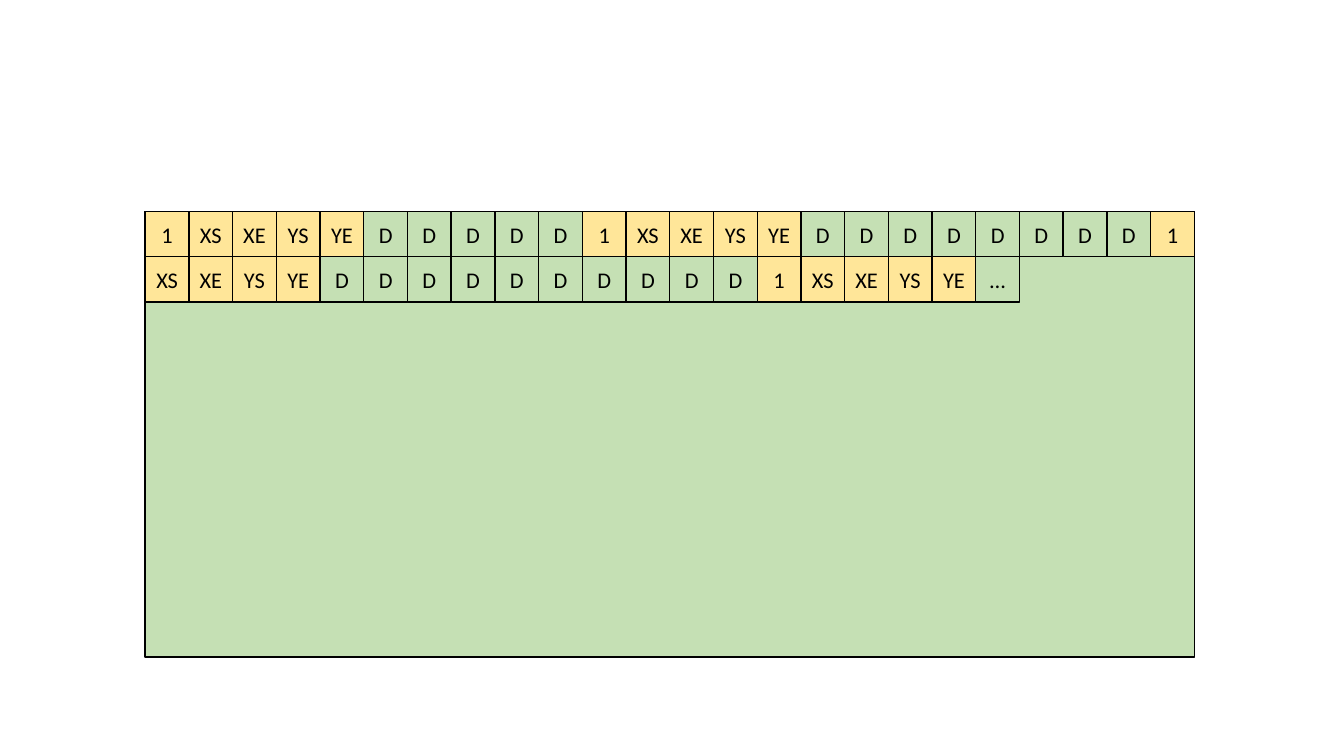
from pptx import Presentation
from pptx.dml.color import RGBColor
from pptx.enum import shapes, text
from pptx.util import Cm, Pt

GREEN = RGBColor(0xC5, 0xE0, 0xB4)
GOLD = RGBColor(0xFF, 0xE6, 0x99)
BLACK = RGBColor(0, 0, 0)

LEFT, TOP = 3.66, 5.33
WIDTH, HEIGHT = 26.44, 11.23
COLS = 24
CELL = WIDTH / COLS
ROW = 1.14

deck = Presentation()
deck.slide_width = Cm(33.87)
deck.slide_height = Cm(19.05)
slide = deck.slides.add_slide(deck.slide_layouts[6])


def add_box(left, top, width, height, fill):
    box = slide.shapes.add_shape(
        shapes.MSO_SHAPE.RECTANGLE, Cm(left), Cm(top), Cm(width), Cm(height))
    box.shadow.inherit = False
    box.fill.solid()
    box.fill.fore_color.rgb = fill
    box.line.color.rgb = BLACK
    box.line.width = Pt(1)
    return box


add_box(LEFT, TOP, WIDTH, HEIGHT, GREEN)

header = ["1", "XS", "XE", "YS", "YE"]
stream = []
for count in (5, 8, 10):
    stream += header + ["D"] * count
stream += header + ["…"]

for index, label in enumerate(stream):
    row, col = divmod(index, COLS)
    fill = GOLD if label in header else GREEN
    cell = add_box(LEFT + col * CELL, TOP + row * ROW, CELL, ROW, fill)
    frame = cell.text_frame
    frame.margin_left = frame.margin_right = 0
    frame.word_wrap = False
    frame.vertical_anchor = text.MSO_ANCHOR.MIDDLE
    line = frame.paragraphs[0]
    line.text = label
    line.alignment = text.PP_ALIGN.CENTER
    line.font.name = "Calibri"
    line.font.size = Pt(16)
    line.font.color.rgb = BLACK

deck.save("out.pptx")
